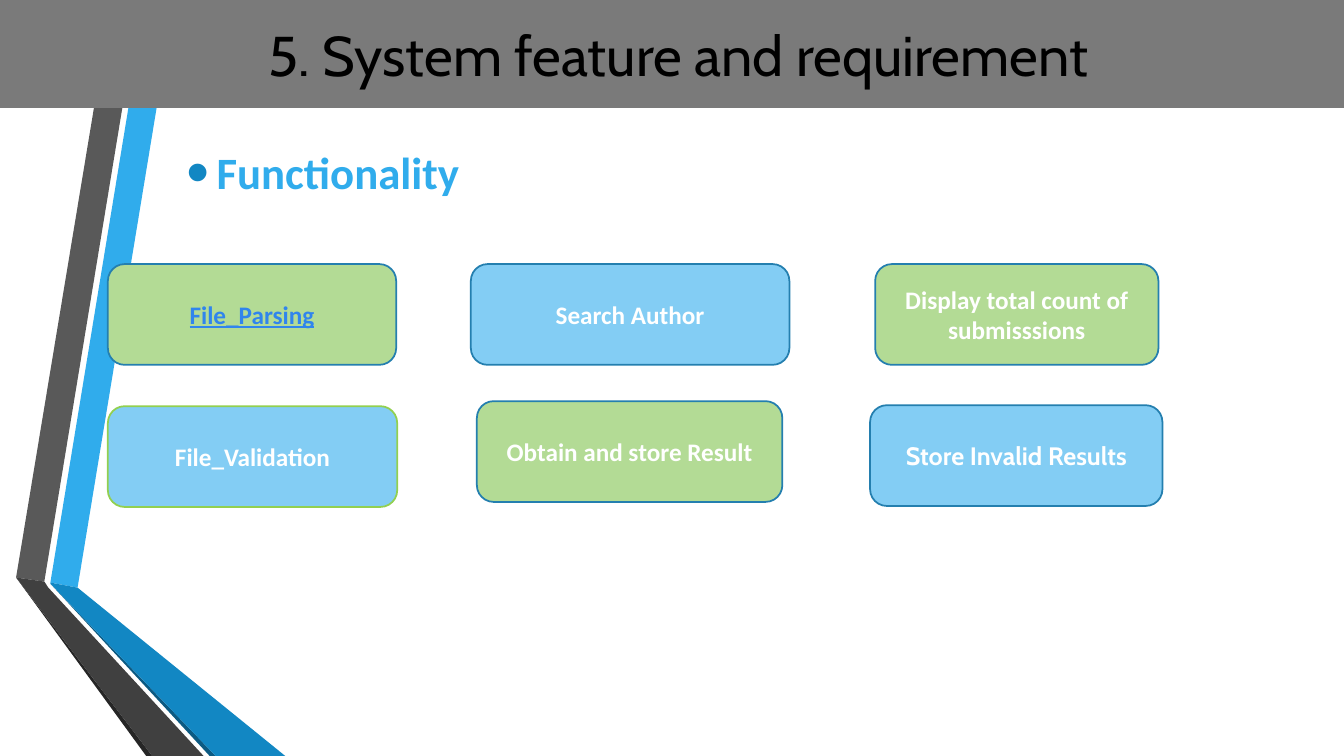
from lxml import etree
from pptx import Presentation
from pptx import util as u
from pptx.dml.color import RGBColor
from pptx.enum import shapes, text
from pptx.oxml import ns

WHITE, GREEN, BLUE = "FFFFFF", "B3DB95", "83CDF4"
EDGE, LIME_EDGE = "247FAF", "92D050"
SKY, DEEP_BLUE, LINK = "30ACEC", "1287C3", "3085ED"

RIBBONS = [
    (SKY, [(0.5, 5.78), (0.77, 5.83), (1.73, 0), (1.45, 0)]),
    ("595959", [(1.39, 0), (1.11, 0), (0.16, 5.73), (0.44, 5.77)]),
    ("262626", [(0.16, 5.73), (1.45, 7.5), (1.51, 7.5)]),
    ("0C5A82", [(0.5, 5.79), (2.08, 7.5), (2.14, 7.5)]),
    (DEEP_BLUE, [(0.5, 5.79), (2.14, 7.5), (2.83, 7.5), (0.77, 5.83), (0.5, 5.78)]),
    ("404040", [(2.02, 7.5), (0.48, 5.83), (0.44, 5.77), (0.16, 5.73), (1.51, 7.5)]),
]

# label, left, top, width, fill, edge, font, text colour
FEATURES = [
    ("File_Parsing", 1.07, 2.62, 2.86, GREEN, EDGE, "Calibri", LINK),
    ("Search Author", 4.67, 2.62, 3.16, BLUE, EDGE, "Calibri", WHITE),
    ("Display total count of submisssions", 8.68, 2.62, 2.81, GREEN, EDGE, "Calibri", WHITE),
    ("File_Validation", 1.07, 4.03, 2.87, BLUE, LIME_EDGE, "Calibri", WHITE),
    ("Obtain and store Result", 4.73, 3.98, 3.03, GREEN, EDGE, "Calibri", WHITE),
    ("Store Invalid Results", 8.63, 4.02, 2.9, BLUE, EDGE, "Cabin", WHITE),
]
FEATURE_HEIGHT = 1


def paint(target, colour):
    """Give a fill a solid hex colour."""
    target.solid()
    target.fore_color.rgb = RGBColor.from_string(colour)


def add_run(para, words, size, font, colour, bold=False, underline=None):
    """Append one formatted run to a paragraph."""
    span = para.add_run()
    span.text = words
    span.font.size = u.Pt(size)
    span.font.name = font
    span.font.bold = bold
    span.font.underline = underline
    paint(span.font.fill, colour)


def add_ribbon(slide, colour, points):
    """Draw one closed, borderless piece of the folded ribbon."""
    corners = [(u.Inches(x), u.Inches(y)) for x, y in points]
    builder = slide.shapes.build_freeform(*corners[0])
    builder.add_line_segments(corners[1:], close=True)
    ribbon = builder.convert_to_shape()
    ribbon.shadow.inherit = False
    paint(ribbon.fill, colour)
    ribbon.line.fill.background()


def add_box(slide, kind, left, top, width, height, fill, edge=None):
    """Add a filled preset shape and return its centred first paragraph."""
    box = slide.shapes.add_shape(kind, *map(u.Inches, (left, top, width, height)))
    box.shadow.inherit = False
    paint(box.fill, fill)
    if edge:
        paint(box.line.fill, edge)
        box.line.width = u.Pt(1.25)
    else:
        box.line.fill.background()
    frame = box.text_frame
    frame.word_wrap = True
    frame.vertical_anchor = text.MSO_ANCHOR.MIDDLE
    para = frame.paragraphs[0]
    para.alignment = text.PP_ALIGN.CENTER
    return para


def add_feature(slide, label, left, top, width, fill, edge, font, colour):
    """Add one rounded feature box; the linked label is underlined."""
    para = add_box(slide, shapes.MSO_SHAPE.ROUNDED_RECTANGLE,
                   left, top, width, FEATURE_HEIGHT, fill, edge)
    add_run(para, label, 18, font, colour, bold=True,
            underline=True if colour == LINK else None)


def set_bullet(para, colour, percent, indent):
    """Give a paragraph a coloured, scaled bullet with a hanging indent."""
    props = para._p.get_or_add_pPr()
    props.set("marL", str(u.Inches(indent)))
    props.set("indent", str(-u.Inches(indent)))
    bullet_colour = etree.SubElement(props, ns.qn("a:buClr"))
    etree.SubElement(bullet_colour, ns.qn("a:srgbClr"), val=colour)
    etree.SubElement(props, ns.qn("a:buSzPct"), val=str(percent * 1000))
    etree.SubElement(props, ns.qn("a:buFont"), typeface="Arial")
    etree.SubElement(props, ns.qn("a:buChar"), char="\u2022")


def add_heading(slide, words):
    """Add the bulleted heading above the feature boxes."""
    box = slide.shapes.add_textbox(*map(u.Inches, (1.75, 1.39, 11.4, 0.7)))
    box.text_frame.word_wrap = True
    para = box.text_frame.paragraphs[0]
    para.space_after = u.Pt(6)
    set_bullet(para, DEEP_BLUE, 145, 0.3)
    add_run(para, words, 32, "Calibri", SKY, bold=True)


def main():
    """Build the slide and save it."""
    deck = Presentation()
    deck.slide_width, deck.slide_height = u.Inches(13.33), u.Inches(7.5)
    slide = deck.slides.add_slide(deck.slide_layouts[6])
    paint(slide.background.fill, WHITE)
    for colour, points in RIBBONS:
        add_ribbon(slide, colour, points)
    title = add_box(slide, shapes.MSO_SHAPE.RECTANGLE, 0, 0, 13.33, 1.07, "7A7A7A")
    add_run(title, " 5. System feature and requirement", 40, "Cabin", "000000")
    add_heading(slide, "Functionality")
    for feature in FEATURES:
        add_feature(slide, *feature)
    deck.save("out.pptx")


main()
